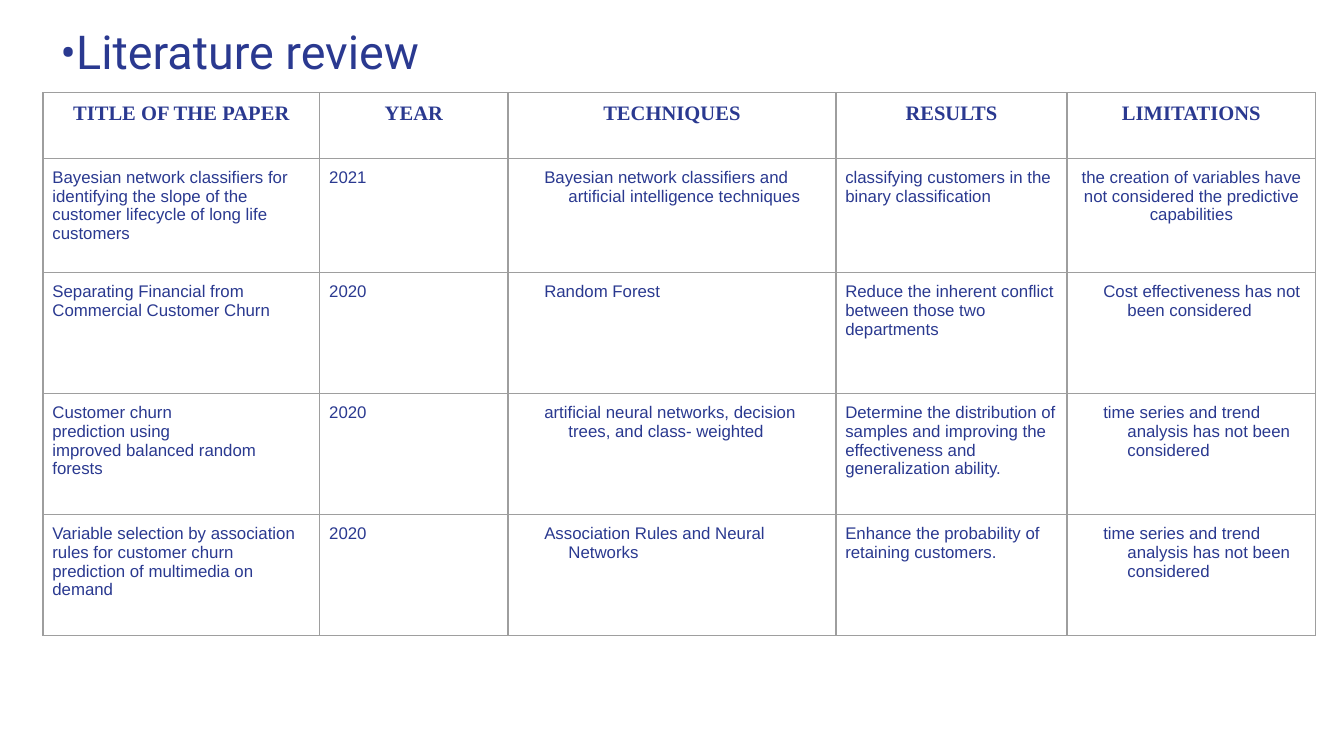
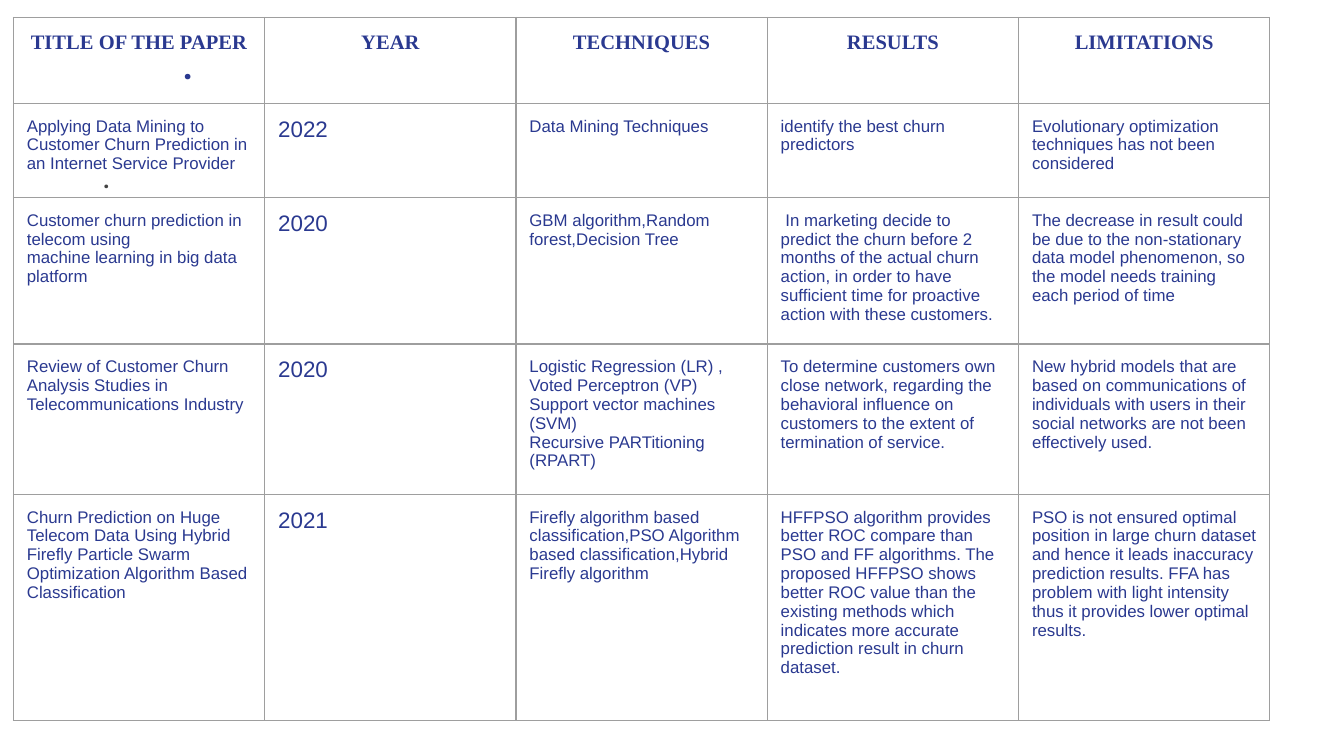
from dataclasses import dataclass

from lxml.etree import SubElement
from pptx import Presentation
from pptx.dml.color import RGBColor
from pptx.enum.text import MSO_ANCHOR, MSO_AUTO_SIZE, PP_ALIGN
from pptx.oxml.ns import qn
from pptx.slide import Slide
from pptx.table import _Cell
from pptx.text.text import TextFrame, _Paragraph
from pptx.util import Inches, Pt

NAVY = RGBColor(0x2A, 0x39, 0x90)
CHARCOAL = RGBColor(0x43, 0x43, 0x43)
RULE_GREY = RGBColor(0x9E, 0x9E, 0x9E)
HEADINGS = ("TITLE OF THE PAPER", "YEAR", "TECHNIQUES", "RESULTS", "LIMITATIONS")
YEAR_COLUMN = 1


@dataclass(frozen=True)
class TextStyle:
    font: str
    size: float
    color: RGBColor = NAVY
    bold: bool = False


@dataclass(frozen=True)
class PaperTable:
    left: float
    top: float
    widths: tuple[float, ...]
    heights: tuple[float, ...]
    inset: float
    year_style: TextStyle
    papers: tuple[tuple[str, ...], ...]
    hanging_columns: tuple[int, ...] = ()
    centered_cells: tuple[tuple[int, int], ...] = ()


HEADING_STYLE = TextStyle("Times New Roman", 11, bold=True)
ENTRY_STYLE = TextStyle("Arial", 9)

EARLY_REVIEW = PaperTable(
    left=0.32, top=0.69,
    widths=(2.06, 1.4, 2.44, 1.72, 1.85),
    heights=(0.49, 0.85, 0.9, 0.9, 0.9),
    inset=0.07,
    year_style=ENTRY_STYLE,
    hanging_columns=(2, 4),
    centered_cells=((1, 4),),
    papers=(
        ("Bayesian network classifiers for identifying the slope of the customer "
         "lifecycle of long life customers",
         "2021",
         "Bayesian network classifiers and artificial intelligence techniques",
         "classifying customers in the binary classification",
         "the creation of variables have not considered the predictive capabilities"),
        ("Separating Financial from Commercial Customer Churn",
         "2020",
         "Random Forest",
         "Reduce the inherent conflict between those two departments",
         "Cost effectiveness has not been considered"),
        ("Customer churn\nprediction using\nimproved balanced random forests",
         "2020",
         "artificial neural networks, decision trees, and class- weighted",
         "Determine the distribution of samples and improving the effectiveness "
         "and generalization ability.",
         "time series and trend analysis has not been considered"),
        ("Variable selection by association rules for customer churn prediction "
         "of multimedia on demand",
         "2020",
         "Association Rules and Neural Networks",
         "Enhance the probability of retaining customers.",
         "time series and trend analysis has not been considered"),
    ),
)

LATER_REVIEW = PaperTable(
    left=0.1, top=0.13,
    widths=(1.87,) * len(HEADINGS),
    heights=(0.64, 0.7, 1.09, 1.12, 1.68),
    inset=0.1,
    year_style=TextStyle("Arial", 12),
    papers=(
        ("Applying Data Mining to Customer Churn Prediction in an Internet "
         "Service Provider",
         "2022",
         "Data Mining Techniques",
         "identify the best churn predictors",
         "Evolutionary optimization techniques has not been considered"),
        ("Customer churn prediction in telecom using\n"
         "machine learning in big data platform",
         "2020",
         "GBM algorithm,Random forest,Decision Tree",
         " In marketing decide to predict the churn before 2 months of the actual "
         "churn action, in order to have sufficient time for proactive action "
         "with these customers.",
         "The decrease in result could be due to the non-stationary data model "
         "phenomenon, so the model needs training each period of time"),
        ("Review of Customer Churn Analysis Studies in Telecommunications Industry",
         "2020",
         "Logistic Regression (LR) ,\nVoted Perceptron (VP)\n"
         "Support vector machines (SVM)\nRecursive PARTitioning (RPART)",
         "To determine customers own close network, regarding the behavioral "
         "influence on customers to the extent of termination of service.",
         "New hybrid models that are based on communications of individuals with "
         "users in their social networks are not been effectively used."),
        ("Churn Prediction on Huge Telecom Data Using Hybrid Firefly Particle "
         "Swarm Optimization Algorithm Based Classification",
         "2021",
         "Firefly algorithm based classification,PSO Algorithm based "
         "classification,Hybrid Firefly algorithm",
         "HFFPSO algorithm provides better ROC compare than PSO and FF algorithms. "
         "The proposed HFFPSO shows better ROC value than the existing methods "
         "which indicates more accurate prediction result in churn dataset.",
         "PSO is not ensured optimal position in large churn dataset and hence it "
         "leads inaccuracy prediction results. FFA has problem with light "
         "intensity thus it provides lower optimal results."),
    ),
)


def add_run(paragraph: _Paragraph, text: str, style: TextStyle) -> None:
    run = paragraph.add_run()
    run.text = text
    formats = {"name": style.font, "size": Pt(style.size), "bold": style.bold}
    for attribute, value in formats.items():
        setattr(run.font, attribute, value)
    run.font.color.rgb = style.color


def indent(paragraph: _Paragraph, left: float, first: float = 0) -> None:
    properties = paragraph._p.get_or_add_pPr()
    properties.set("marL", str(Inches(left)))
    properties.set("indent", str(Inches(first)))


def set_frame(frame: TextFrame, anchor: MSO_ANCHOR) -> _Paragraph:
    formats = {
        "margin_left": Inches(0.07), "margin_right": Inches(0.07),
        "margin_top": Inches(0.04), "margin_bottom": Inches(0.04),
        "word_wrap": True, "auto_size": MSO_AUTO_SIZE.NONE,
        "vertical_anchor": anchor,
    }
    for attribute, value in formats.items():
        setattr(frame, attribute, value)
    first = frame.paragraphs[0]
    first.alignment = PP_ALIGN.LEFT
    return first


def place_title(slide: Slide, left: float, top: float, width: float,
                height: float, anchor: MSO_ANCHOR) -> _Paragraph:
    title = slide.shapes.title
    bounds = {"left": left, "top": top, "width": width, "height": height}
    for attribute, value in bounds.items():
        setattr(title, attribute, Inches(value))
    return set_frame(title.text_frame, anchor)


def outline_cell(cell: _Cell) -> None:
    properties = cell._tc.get_or_add_tcPr()
    for side in ("a:lnL", "a:lnR", "a:lnT", "a:lnB"):
        border = SubElement(properties, qn(side), w=str(Pt(0.75)))
        fill = SubElement(border, qn("a:solidFill"))
        SubElement(fill, qn("a:srgbClr"), val=str(RULE_GREY))


def fill_cell(cell: _Cell, text: str, style: TextStyle, inset: float,
              centered: bool, hanging: bool) -> None:
    for side in ("left", "right", "top", "bottom"):
        setattr(cell, f"margin_{side}", Inches(inset))
    outline_cell(cell)
    cell.fill.background()
    for index, line in enumerate(text.split("\n")):
        frame = cell.text_frame
        paragraph = frame.add_paragraph() if index else frame.paragraphs[0]
        paragraph.alignment = PP_ALIGN.CENTER if centered else PP_ALIGN.LEFT
        if hanging:
            indent(paragraph, 0.38, -0.18)
        add_run(paragraph, line, style)


def add_paper_table(slide: Slide, review: PaperTable) -> None:
    rows = (HEADINGS,) + review.papers
    table = slide.shapes.add_table(
        len(rows), len(HEADINGS), Inches(review.left), Inches(review.top),
        Inches(sum(review.widths)), Inches(sum(review.heights))).table
    table.first_row = table.horz_banding = False
    for column, width in zip(table.columns, review.widths):
        column.width = Inches(width)
    for row, height in zip(table.rows, review.heights):
        row.height = Inches(height)
    for r, entries in enumerate(rows):
        for c, text in enumerate(entries):
            if r == 0:
                style = HEADING_STYLE
            else:
                style = review.year_style if c == YEAR_COLUMN else ENTRY_STYLE
            centered = r == 0 or (r, c) in review.centered_cells
            hanging = c in review.hanging_columns and not centered
            fill_cell(table.cell(r, c), text, style, review.inset, centered, hanging)


def build_early_review(slide: Slide) -> None:
    heading = place_title(slide, 0, 0.06, 10, 0.55, MSO_ANCHOR.TOP)
    indent(heading, 0.38)
    heading.space_before = Pt(4)
    add_run(heading, "•Literature review", TextStyle("Roboto", 25))
    add_run(heading, " ", TextStyle("Times New Roman", 30, CHARCOAL))
    add_paper_table(slide, EARLY_REVIEW)


def build_later_review(slide: Slide) -> None:
    heading = place_title(slide, 1.28, 0.3, 8.04, 0.34, MSO_ANCHOR.MIDDLE)
    heading.line_spacing = 0.9
    add_run(heading, ".", TextStyle("Roboto", 27))
    body = slide.shapes.add_textbox(
        Inches(0.69), Inches(1.15), Inches(8.62), Inches(3.57))
    mark = set_frame(body.text_frame, MSO_ANCHOR.TOP)
    mark.line_spacing = 0.9
    mark.space_before = Pt(8)
    add_run(mark, ".", TextStyle("Roboto", 18, CHARCOAL))
    add_paper_table(slide, LATER_REVIEW)


def main() -> None:
    deck = Presentation()
    deck.slide_width = Inches(10)
    deck.slide_height = Inches(10 * 9 / 16)
    title_only = deck.slide_layouts[5]
    for build in (build_early_review, build_later_review):
        build(deck.slides.add_slide(title_only))
    deck.save("out.pptx")


if __name__ == "__main__":
    main()
